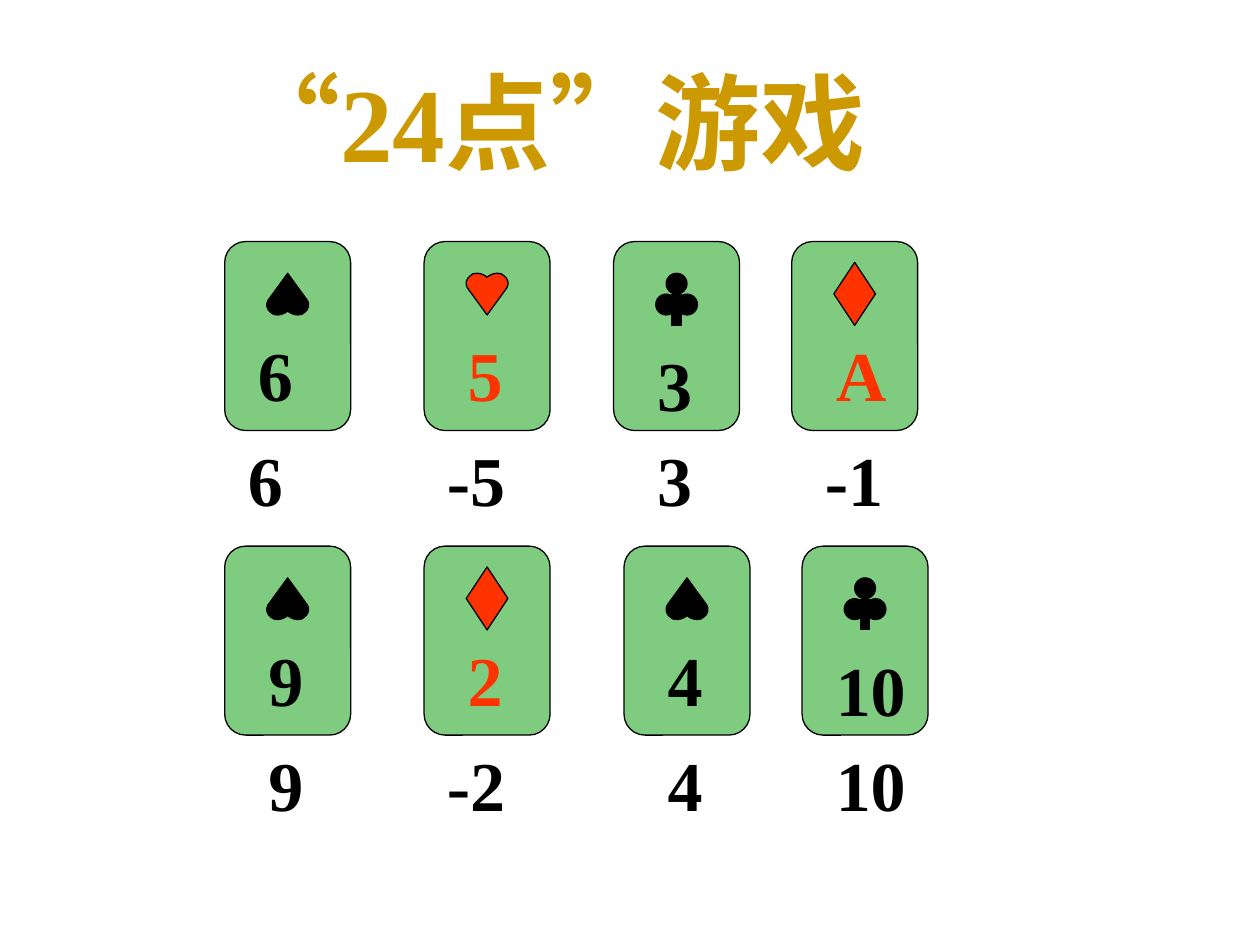
"""Builds the "24 points" card game slide."""

from dataclasses import dataclass

import lxml.etree
import pptx
import pptx.dml.color
import pptx.enum.shapes
import pptx.enum.text
import pptx.oxml.ns
import pptx.util
from pptx.util import Cm

COLORS = {"title": "CC9900", "card": "009900", "black": "000000", "red": "FF3300", "shadow": "5F5F5F"}
FONT = "Times New Roman"
CARD_WIDTH, CARD_HEIGHT = 2.54, 3.81
ROW_TOPS = (4.87, 11.01)
SUIT_SIZE = 0.84
HEART_HALF = (
    (0, 0.08), (0.04, 0.05), (0.08, 0.03), (0.13, 0.01), (0.2, 0), (0.28, 0.01),
    (0.34, 0.05), (0.39, 0.1), (0.42, 0.17), (0.42, 0.23), (0.4, 0.29), (0, 0.84),
)
SHAPE = pptx.enum.shapes.MSO_SHAPE


@dataclass
class Card:
    """A playing card with the signed number written below it."""

    suit: str
    rank: str
    value: str
    row: int
    left: float
    rank_left: float
    value_left: float

    @property
    def top(self) -> float:
        return ROW_TOPS[self.row]

    @property
    def color(self) -> str:
        return COLORS["red" if self.suit in ("heart", "diamond") else "black"]


CARDS = (
    Card("spade", "6", "6", 0, 4.53, 4.95, 4.75),
    Card("heart", "5", "-5", 0, 8.55, 9.18, 8.76),
    Card("club", "3", "3", 0, 12.37, 13, 13),
    Card("diamond", "A", "-1", 0, 15.96, 16.6, 16.38),
    Card("spade", "9", "9", 1, 4.53, 5.16, 5.16),
    Card("diamond", "2", "-2", 1, 8.55, 9.18, 8.76),
    Card("spade", "4", "4", 1, 12.58, 13.21, 13.21),
    Card("club", "10", "10", 1, 16.17, 16.6, 16.6),
)


def rgb(color: str) -> pptx.dml.color.RGBColor:
    return pptx.dml.color.RGBColor.from_string(color)


def paint(shape, color: str) -> None:
    shape.shadow.inherit = False
    shape.fill.solid()
    shape.fill.fore_color.rgb = rgb(color)
    shape.line.color.rgb = rgb(COLORS["black"])
    shape.line.width = pptx.util.Pt(0.75)


def add_preset(shapes, kind, left: float, top: float, width: float, height: float, color: str):
    shape = shapes.add_shape(kind, Cm(left), Cm(top), Cm(width), Cm(height))
    paint(shape, color)
    return shape


def add_heart(shapes, center: float, top: float, color: str, flipped: bool) -> None:
    outline = HEART_HALF + tuple((-x, y) for x, y in HEART_HALF[-2:0:-1])
    points = [
        (Cm(center + x), Cm(top + (SUIT_SIZE - y if flipped else y))) for x, y in outline
    ]
    builder = shapes.build_freeform(*points[0])
    builder.add_line_segments(points[1:], close=True)
    paint(builder.convert_to_shape(), color)


def add_club(shapes, center: float, top: float, color: str) -> None:
    leaf = SUIT_SIZE / 2
    for x, y in ((-leaf / 2, 0), (-leaf, leaf), (0, leaf)):
        add_preset(shapes, SHAPE.OVAL, center + x, top + y, leaf, leaf, color)
    stem = shapes.add_connector(
        pptx.enum.shapes.MSO_CONNECTOR.STRAIGHT,
        Cm(center), Cm(top + leaf), Cm(center), Cm(top + 1.06),
    )
    stem.line.color.rgb = rgb(color)
    stem.line.width = pptx.util.Pt(6)
    lxml.etree.SubElement(stem._element.spPr, pptx.oxml.ns.qn("a:effectLst"))


def format_paragraph(paragraph, size: float, color: str) -> None:
    font = paragraph.font
    font.name, font.size, font.bold = FONT, pptx.util.Pt(size), True
    font.color.rgb = rgb(color)


def add_number(slide, text: str, left: float, top: float, width: float, color: str) -> None:
    frame = slide.shapes.add_textbox(Cm(left), Cm(top), Cm(width), Cm(1.96)).text_frame
    frame.word_wrap = True
    frame.auto_size = pptx.enum.text.MSO_AUTO_SIZE.SHAPE_TO_FIT_TEXT
    frame.text = text
    format_paragraph(frame.paragraphs[0], 40, color)


def add_card(slide, card: Card) -> None:
    shapes = slide.shapes.add_group_shape().shapes
    face = add_preset(
        shapes, SHAPE.ROUNDED_RECTANGLE, card.left, card.top, CARD_WIDTH, CARD_HEIGHT, COLORS["card"]
    )
    face_color = face._element.spPr.find(".//" + pptx.oxml.ns.qn("a:srgbClr"))
    lxml.etree.SubElement(face_color, pptx.oxml.ns.qn("a:alpha"), val="50000")

    center = card.left + CARD_WIDTH / 2
    if card.suit == "club":
        add_club(shapes, center, card.top + 0.64, card.color)
    elif card.suit == "diamond":
        add_preset(
            shapes, SHAPE.DIAMOND, center - SUIT_SIZE / 2, card.top + 0.42, SUIT_SIZE, 1.27, card.color
        )
    else:
        add_heart(shapes, center, card.top + 0.64, card.color, card.suit == "spade")

    rank_top = card.top + (1.9 if card.suit == "club" else 1.69)
    rank_width = 1.69 if len(card.rank) == 1 else 2.12
    add_number(slide, card.rank, card.rank_left, rank_top, rank_width, card.color)
    add_number(slide, card.value, card.value_left, card.top + CARD_HEIGHT, 2.75, COLORS["black"])


def add_title(slide) -> None:
    title = slide.shapes.title
    title.left, title.top, title.width, title.height = Cm(0.3), Cm(1.48), Cm(21.59), Cm(1.9)
    frame = title.text_frame
    frame.text = "“24点”游戏"
    frame.word_wrap = True
    frame.auto_size = pptx.enum.text.MSO_AUTO_SIZE.NONE
    frame.vertical_anchor = pptx.enum.text.MSO_ANCHOR.MIDDLE
    paragraph = frame.paragraphs[0]
    paragraph.alignment = pptx.enum.text.PP_ALIGN.CENTER
    format_paragraph(paragraph, 60, COLORS["title"])
    properties = paragraph.runs[0]._r.get_or_add_rPr()
    properties.set("lang", "zh-CN")
    effects = lxml.etree.SubElement(properties, pptx.oxml.ns.qn("a:effectLst"))
    shadow = lxml.etree.SubElement(
        effects, pptx.oxml.ns.qn("a:outerShdw"), dist="25400", dir="2700000"
    )
    lxml.etree.SubElement(shadow, pptx.oxml.ns.qn("a:srgbClr"), val=COLORS["shadow"])


def main() -> None:
    presentation = pptx.Presentation()
    presentation.slide_width, presentation.slide_height = Cm(25.4), Cm(19.05)
    slide = presentation.slides.add_slide(presentation.slide_layouts[5])
    add_title(slide)
    for card in CARDS:
        add_card(slide, card)
    presentation.save("out.pptx")


if __name__ == "__main__":
    main()
